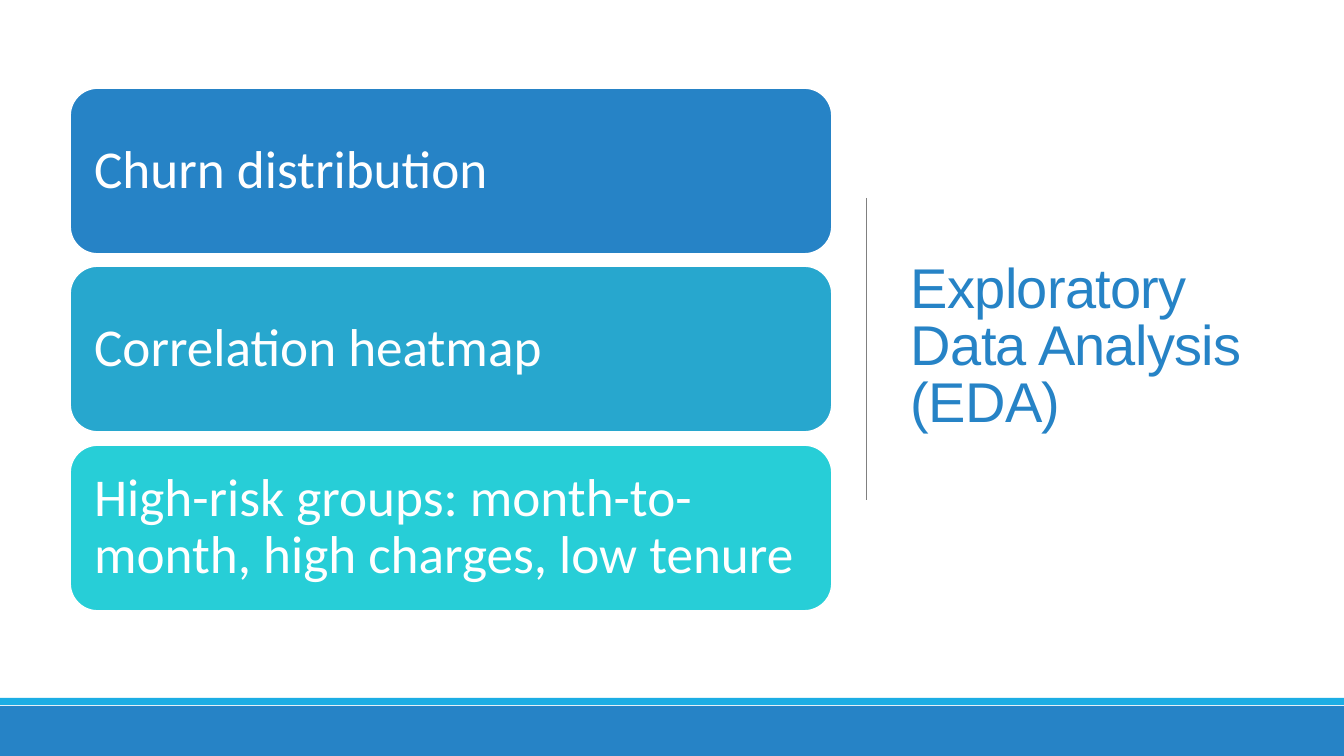
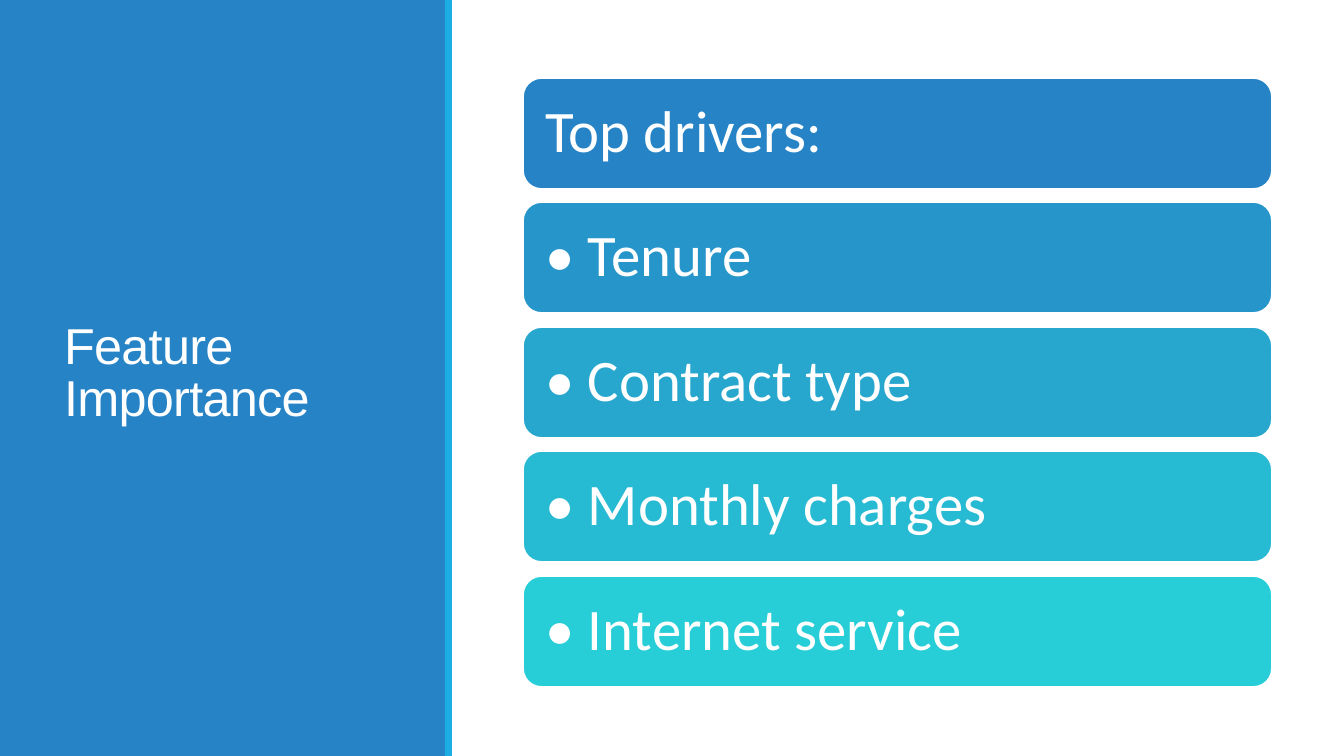
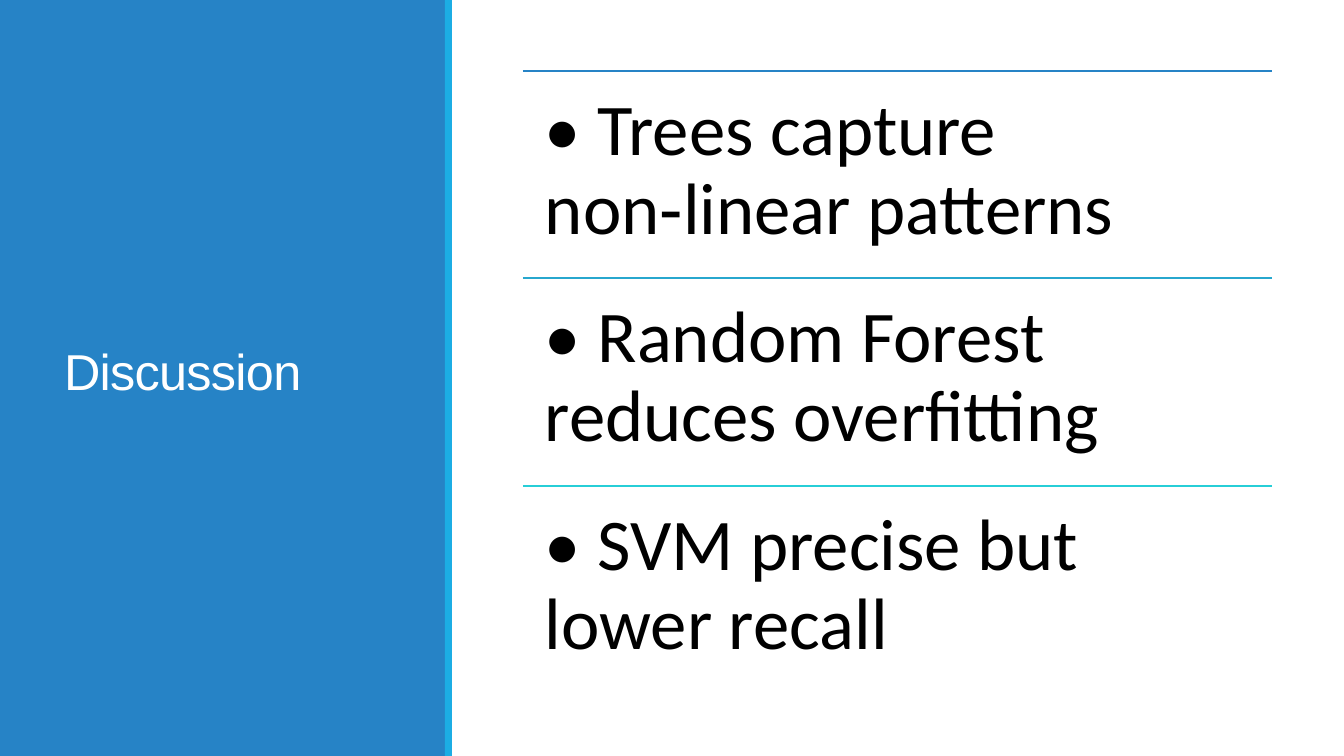
"""Build three slides on churn analysis: exploration, drivers and discussion."""
from dataclasses import dataclass

from lxml.etree import SubElement
from pptx import Presentation
from pptx.dml.color import RGBColor
from pptx.enum.shapes import MSO_CONNECTOR, MSO_SHAPE
from pptx.enum.text import MSO_ANCHOR, PP_ALIGN
from pptx.oxml.ns import qn
from pptx.shapes.autoshape import Shape
from pptx.slide import Slide
from pptx.text.text import TextFrame
from pptx.util import Emu, Pt

PAGE_WIDTH, PAGE_HEIGHT = 1344, 756
EMU_PER_PX = 12192000 / PAGE_WIDTH
BLUE, ACCENT, GREY, WHITE, BLACK = "2683C6", "1CADE4", "808080", "FFFFFF", "000000"
SHADES = (BLUE, "2695CA", "27A7CE", "27BAD3", "27CED7")
TITLE_FONT, BODY_FONT = "Arial", "Calibri"


@dataclass(frozen=True)
class Box:
    left: int
    top: int
    width: int
    height: int

    def emu(self) -> tuple[Emu, Emu, Emu, Emu]:
        return px(self.left), px(self.top), px(self.width), px(self.height)


@dataclass(frozen=True)
class Stack:
    first: Box
    last_top: int
    size: int
    inset: int
    items: tuple[str, ...]

    def rows(self) -> list[tuple[str, Box, str]]:
        steps = len(self.items) - 1
        first = self.first
        return [
            (
                item,
                Box(first.left, first.top + (self.last_top - first.top) * index // steps,
                    first.width, first.height),
                SHADES[(len(SHADES) - 1) * index // steps],
            )
            for index, item in enumerate(self.items)
        ]


EXPLORATION = Stack(Box(70, 88, 762, 166), 445, 38, 16, (
    "Churn distribution",
    "Correlation heatmap",
    "High-risk groups: month-to-month, high charges, low tenure",
))
DRIVERS = Stack(Box(523, 78, 749, 111), 576, 42, 17, (
    "Top drivers:",
    "• Tenure",
    "• Contract type",
    "• Monthly charges",
    "• Internet service",
))
DISCUSSION = Stack(Box(523, 71, 749, 208), 486, 52, 22, (
    "• Trees capture non‑linear patterns",
    "• Random Forest reduces overfitting",
    "• SVM precise but lower recall",
))


def px(length: int) -> Emu:
    return Emu(round(length * EMU_PER_PX))


def color(value: str) -> RGBColor:
    return RGBColor.from_string(value)


def write(frame: TextFrame, text: str, *, size: int, fill: str, font: str = BODY_FONT,
          spacing: float = 0.9, tracking: int = 0, inset: tuple[int, int] = (10, 5),
          anchor: MSO_ANCHOR = MSO_ANCHOR.MIDDLE) -> None:
    frame.word_wrap = True
    frame.vertical_anchor = anchor
    frame.margin_left = frame.margin_right = px(inset[0])
    frame.margin_top = frame.margin_bottom = px(inset[1])
    para = frame.paragraphs[0]
    para.alignment = PP_ALIGN.LEFT
    para.line_spacing = spacing
    span = para.add_run()
    span.text = text
    span.font.name = font
    span.font.size = Pt(size)
    span.font.color.rgb = color(fill)
    if tracking:
        span._r.get_or_add_rPr().set("spc", str(tracking))


def add_block(page: Slide, box: Box, fill: str, *, outline: str | None = None,
              kind: MSO_SHAPE = MSO_SHAPE.RECTANGLE) -> Shape:
    block = page.shapes.add_shape(kind, *box.emu())
    block.shadow.inherit = False
    block.fill.solid()
    block.fill.fore_color.rgb = color(fill)
    if outline:
        block.line.color.rgb = color(outline)
        block.line.width = Pt(1.25)
    else:
        block.line.fill.background()
    return block


def add_line(page: Slide, start: tuple[int, int], end: tuple[int, int],
             fill: str, width: float) -> None:
    line = page.shapes.add_connector(MSO_CONNECTOR.STRAIGHT, *map(px, start + end))
    line.line.color.rgb = color(fill)
    line.line.width = Pt(width)
    SubElement(line._element.spPr, qn("a:effectLst"))


def add_title(page: Slide, text: str, box: Box, size: int, fill: str) -> None:
    title = page.shapes.add_textbox(*box.emu())
    write(title.text_frame, text, size=size, fill=fill, font=TITLE_FONT,
          spacing=0.85, tracking=-50)


def add_side_panel(page: Slide, title: str) -> None:
    add_block(page, Box(0, 0, 446, PAGE_HEIGHT), BLUE)
    add_block(page, Box(445, 0, 7, PAGE_HEIGHT), ACCENT)
    add_title(page, title, Box(54, 57, 340, 636), 36, WHITE)


def add_bottom_band(page: Slide) -> None:
    add_block(page, Box(0, 698, PAGE_WIDTH, 7), ACCENT)
    add_block(page, Box(0, 706, PAGE_WIDTH, 50), BLUE)


def add_cards(page: Slide, stack: Stack) -> None:
    for item, box, shade in stack.rows():
        card = add_block(page, box, shade, outline=WHITE, kind=MSO_SHAPE.ROUNDED_RECTANGLE)
        write(card.text_frame, item, size=stack.size, fill=WHITE,
              inset=(stack.inset, stack.inset))


def add_ruled_list(page: Slide, stack: Stack) -> None:
    for item, box, shade in stack.rows():
        add_line(page, (box.left, box.top), (box.left + box.width, box.top), shade, 1.25)
        entry = page.shapes.add_textbox(*box.emu())
        write(entry.text_frame, item, size=stack.size, fill=BLACK,
              inset=(stack.inset, stack.inset), anchor=MSO_ANCHOR.TOP)


def main() -> None:
    deck = Presentation()
    deck.slide_width, deck.slide_height = px(PAGE_WIDTH), px(PAGE_HEIGHT)
    blank = deck.slide_layouts[6]

    exploration = deck.slides.add_slide(blank)
    add_title(exploration, "Exploratory Data Analysis (EDA)", Box(901, 70, 372, 557), 40, BLUE)
    add_line(exploration, (866, 198), (866, 500), GREY, 0.5)
    add_bottom_band(exploration)
    add_cards(exploration, EXPLORATION)

    drivers = deck.slides.add_slide(blank)
    add_side_panel(drivers, "Feature Importance")
    add_cards(drivers, DRIVERS)

    discussion = deck.slides.add_slide(blank)
    add_side_panel(discussion, "Discussion")
    add_ruled_list(discussion, DISCUSSION)

    deck.save("out.pptx")


if __name__ == "__main__":
    main()
